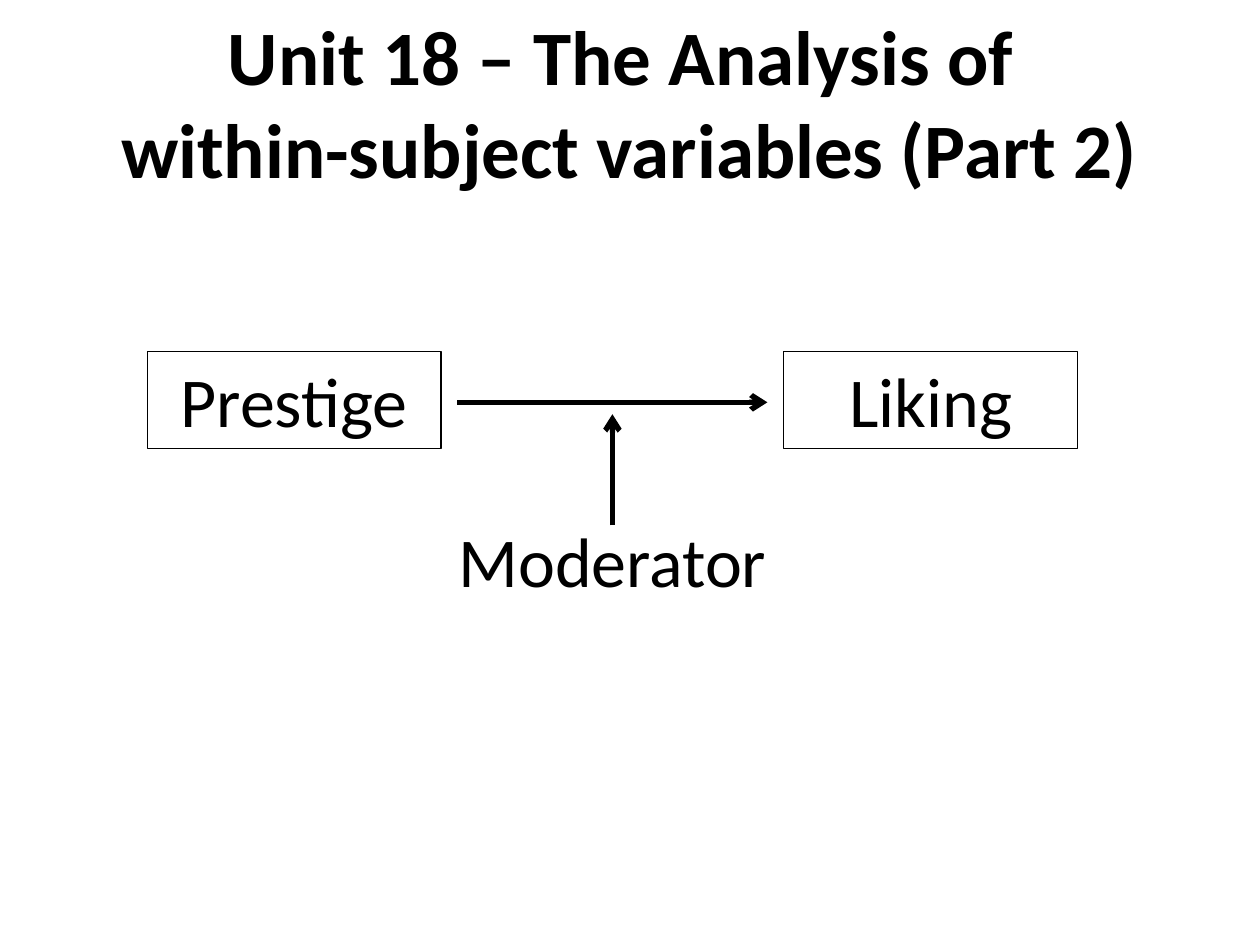
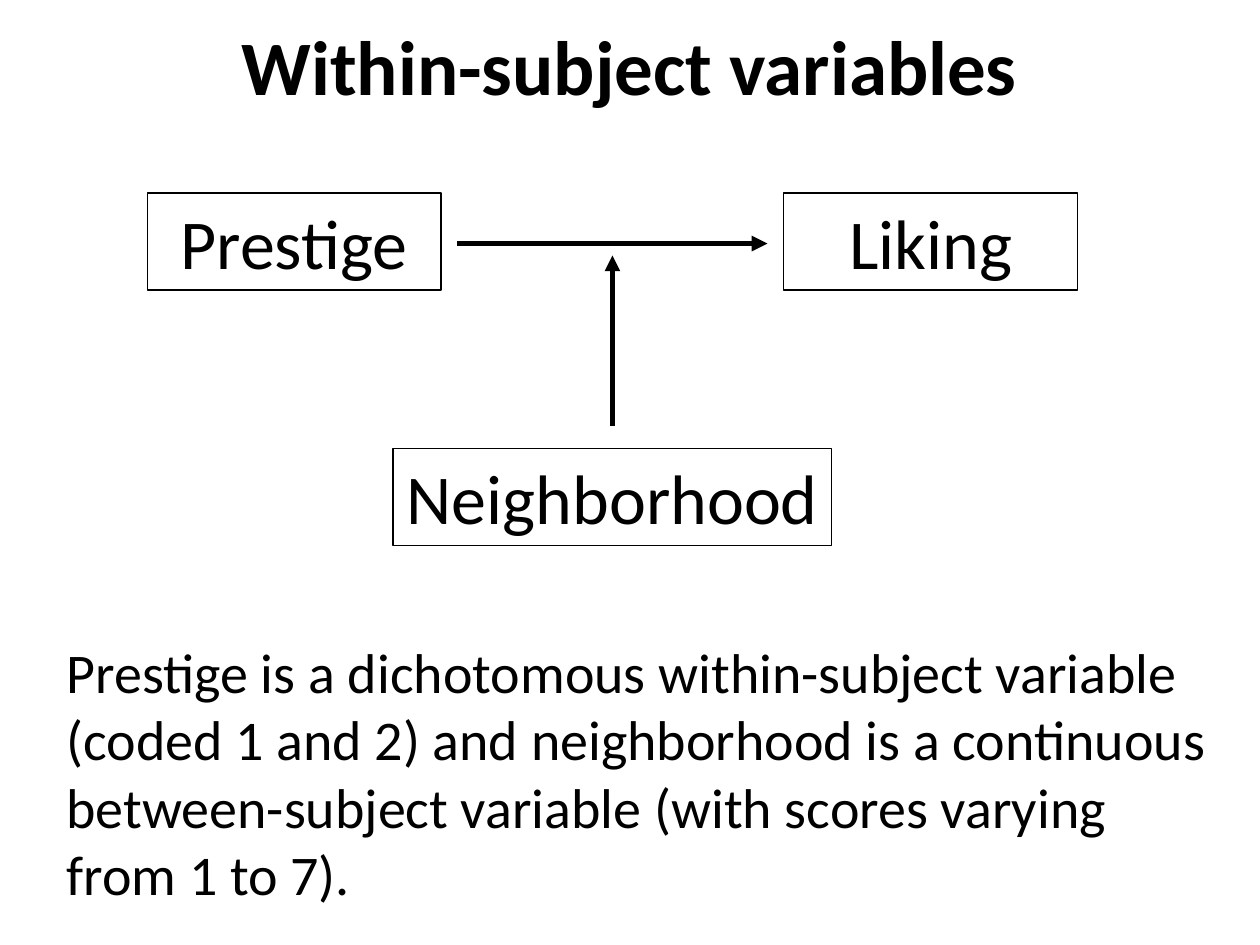
from lxml.etree import SubElement
from pptx import Presentation
from pptx.dml.color import RGBColor
from pptx.enum.shapes import MSO_CONNECTOR, MSO_SHAPE
from pptx.enum.text import MSO_ANCHOR, MSO_AUTO_SIZE, PP_ALIGN
from pptx.oxml.ns import qn
from pptx.util import Cm, Pt

BLACK = "000000"
TITLE_FONT = {"name": "Calibri", "size": Pt(44), "bold": True}
LABEL_FONT = {"name": "Calibri", "size": Pt(40), "bold": False}
BODY_FONT = {"name": "Calibri", "size": Pt(32), "bold": False}
TITLE_FRAME = {"word_wrap": True, "auto_size": MSO_AUTO_SIZE.NONE,
               "vertical_anchor": MSO_ANCHOR.MIDDLE}
GROWING_FRAME = {"word_wrap": True, "auto_size": MSO_AUTO_SIZE.SHAPE_TO_FIT_TEXT,
                 "vertical_anchor": MSO_ANCHOR.TOP}

SLIDE_WIDTH = 25.4
SLIDE_HEIGHT = 19.05
TITLE_HEIGHT = 2.7
BOX_WIDTH = 5.92
BOX_HEIGHT = 1.96
CAUSE_LEFT = 2.97
EFFECT_LEFT = 15.8
ARROW_GAP = 0.33
CENTER = (CAUSE_LEFT + EFFECT_LEFT + BOX_WIDTH) / 2


def color(hex_string):
    return RGBColor.from_string(hex_string)


def set_attributes(target, values):
    for name, value in values.items():
        setattr(target, name, value)


def write_text(shape, text, font, frame, alignment):
    set_attributes(shape.text_frame, frame)
    paragraph = shape.text_frame.paragraphs[0]
    paragraph.text = text
    paragraph.alignment = alignment
    for run in paragraph.runs:
        set_attributes(run.font, font)
        run.font.color.rgb = color(BLACK)


def add_titled_slide(presentation, title, top):
    slide = presentation.slides.add_slide(presentation.slide_layouts[5])
    place = {"left": Cm(0), "top": Cm(top),
             "width": Cm(SLIDE_WIDTH), "height": Cm(TITLE_HEIGHT)}
    set_attributes(slide.shapes.title, place)
    write_text(slide.shapes.title, title, TITLE_FONT, TITLE_FRAME, PP_ALIGN.CENTER)
    return slide


def add_box(slide, text, left, top, width=BOX_WIDTH):
    box = slide.shapes.add_shape(MSO_SHAPE.RECTANGLE, Cm(left), Cm(top),
                                 Cm(width), Cm(BOX_HEIGHT))
    box.shadow.inherit = False
    box.fill.background()
    box.line.color.rgb = color(BLACK)
    box.line.width = Pt(0.75)
    write_text(box, text, LABEL_FONT, GROWING_FRAME, PP_ALIGN.CENTER)


def add_text(slide, text, left, top, width, height, font, alignment):
    text_box = slide.shapes.add_textbox(Cm(left), Cm(top), Cm(width), Cm(height))
    write_text(text_box, text, font, GROWING_FRAME, alignment)


def add_arrow(slide, start, end, head):
    arrow = slide.shapes.add_connector(MSO_CONNECTOR.STRAIGHT,
                                       *map(Cm, start), *map(Cm, end))
    arrow.line.color.rgb = color(BLACK)
    arrow.line.width = Pt(3)
    SubElement(arrow.line._get_or_add_ln(), qn("a:tailEnd"), type=head)
    SubElement(arrow._element.spPr, qn("a:effectLst"))


def add_moderation(slide, top, moderator_arrow_start, head):
    add_box(slide, "Prestige", CAUSE_LEFT, top)
    add_box(slide, "Liking", EFFECT_LEFT, top)
    effect_height = top + 1.02
    add_arrow(slide, (CAUSE_LEFT + BOX_WIDTH + ARROW_GAP, effect_height),
              (EFFECT_LEFT - ARROW_GAP, effect_height), head)
    add_arrow(slide, (CENTER, moderator_arrow_start),
              (CENTER, effect_height + 0.24), head)


def add_overview(presentation):
    slide = add_titled_slide(
        presentation, "Unit 18 – The Analysis of \vwithin-subject variables (Part 2)", 0.69)
    add_moderation(slide, 7.09, 10.59, "arrow")
    width = 6.78
    add_text(slide, "Moderator", CENTER - width / 2, 10.31, width, BOX_HEIGHT,
             LABEL_FONT, PP_ALIGN.CENTER)


def add_example(presentation):
    slide = add_titled_slide(presentation, "Within-subject variables", -0.05)
    add_moderation(slide, 3.89, 8.59, "triangle")
    width = 8.84
    add_box(slide, "Neighborhood", CENTER - width / 2, 9.04, width)
    add_text(slide,
             "Prestige is a dichotomous within-subject variable (coded 1 and 2) "
             "and neighborhood is a continuous between-subject variable "
             "(with scores varying from 1 to 7).",
             1.09, 12.73, 23.7, 5.69, BODY_FONT, PP_ALIGN.LEFT)


def main():
    presentation = Presentation()
    presentation.slide_width = Cm(SLIDE_WIDTH)
    presentation.slide_height = Cm(SLIDE_HEIGHT)
    add_overview(presentation)
    add_example(presentation)
    presentation.save("out.pptx")


if __name__ == "__main__":
    main()
